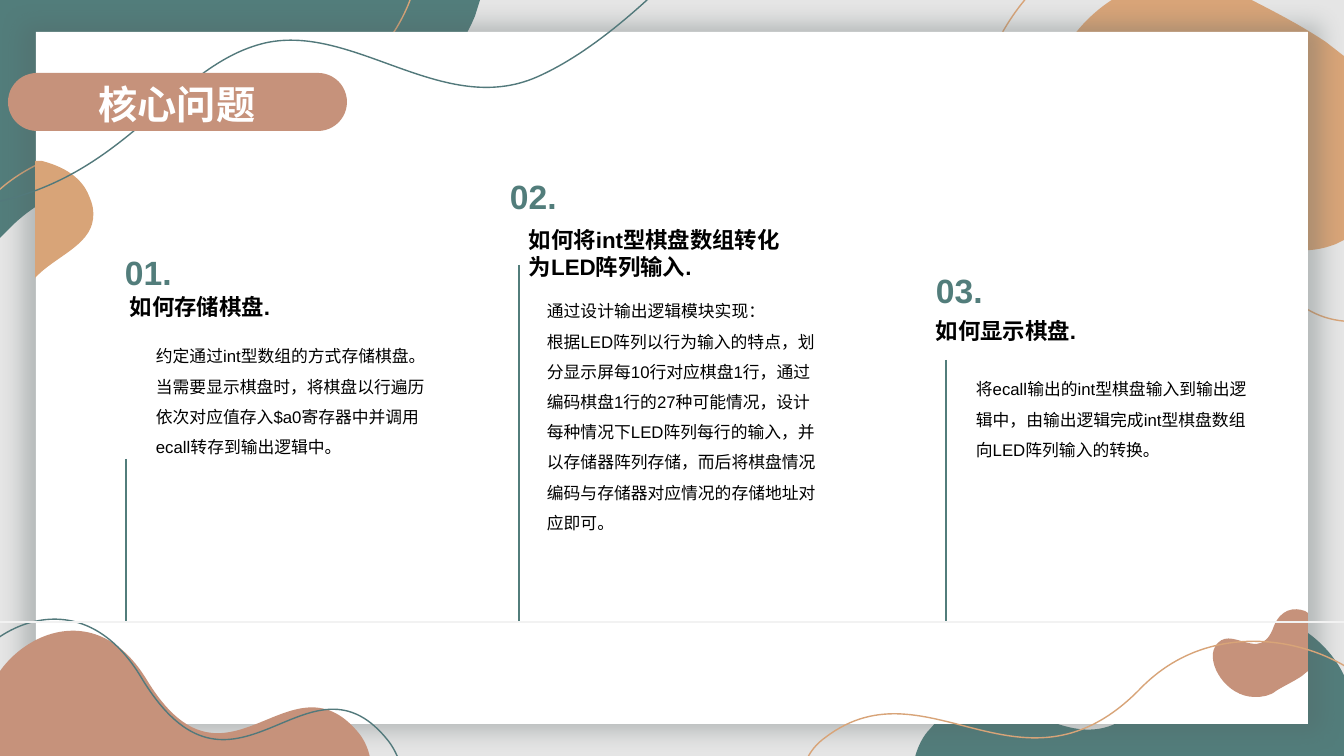
from math import cos, radians, sin

from lxml import etree
from pptx import Presentation
from pptx.dml.color import RGBColor
from pptx.enum.shapes import MSO_CONNECTOR as Connector, MSO_SHAPE as Shape
from pptx.enum.text import MSO_ANCHOR as Anchor, MSO_AUTO_SIZE as AutoSize, PP_ALIGN as Align
from pptx.oxml.ns import qn
from pptx.util import Pt

PX = 12192000 / 1344
WIDTH, HEIGHT = 1344, 756

TEAL = RGBColor(0x52, 0x7D, 0x7B)
TEAL_LINE = RGBColor(0x52, 0x79, 0x7B)
TAN = RGBColor(0xD8, 0xA4, 0x78)
CLAY = RGBColor(0xC6, 0x92, 0x7B)
GREY = RGBColor(0x80, 0x80, 0x80)
PALE = RGBColor(0xF2, 0xF2, 0xF2)
WHITE = RGBColor(0xFF, 0xFF, 0xFF)
BLACK = RGBColor(0, 0, 0)

TITLE = "核心问题"

# Each text: (left, top, width, height), paragraphs; rule: x, top
COLUMNS = [
    {"number": ((115, 247, 103, 50), ["01."]),
     "heading": ((120, 288, 303, 47), ["如何存储棋盘."]),
     "body": ((146, 331, 293, 270), [
         "约定通过int型数组的方式存储棋盘。当需要显示棋盘时，将棋盘以行遍历"
         "依次对应值存入$a0寄存器中并调用ecall转存到输出逻辑中。"]),
     "rule": (126, 459)},
    {"number": ((500, 171, 103, 50), ["02."]),
     "heading": ((519, 221, 289, 65), ["如何将int型棋盘数组转化为LED阵列输入."]),
     "body": ((537, 286, 293, 254), [
         "通过设计输出逻辑模块实现：",
         "根据LED阵列以行为输入的特点，划分显示屏每10行对应棋盘1行，"
         "通过编码棋盘1行的27种可能情况，设计每种情况下LED阵列每行的输入，"
         "并以存储器阵列存储，而后将棋盘情况编码与存储器对应情况的存储地址对应即可。"]),
     "rule": (519, 265)},
    {"number": ((926, 265, 103, 50), ["03."]),
     "heading": ((926, 312, 252, 37), ["如何显示棋盘."]),
     "body": ((966, 364, 293, 102), [
         "将ecall输出的int型棋盘输入到输出逻辑中，由输出逻辑完成int型棋盘"
         "数组向LED阵列输入的转换。"]),
     "rule": (946, 360)},
]
STYLES = {"heading": (16, BLACK, True, 1), "number": (24, TEAL, True, 1),
          "body": (12, BLACK, False, 1.5)}
BASELINE = 622

# Waves: fill, line, turn, closed, steps; two numbers are a line, six a Bezier curve
WAVES_BEHIND = [
    (TEAL, None, 90, True, [
        (1345, 757), (1351, 739, 1354, 720, 1351, 698), (1342, 634, 1234, 560, 1168, 670),
        (1079, 816, 1008, 636, 930, 729), (923, 736, 918, 746, 915, 757), (1345, 757)]),
    (TEAL, None, 0, True, [
        (0, 0), (480, 0), (475, 16), (444, 90, 368, 147, 227, 156),
        (120, 163, 54, 187, 15, 223), (0, 238)]),
    (TAN, None, 0, True, [
        (1178, -21), (1089, -19, 1026, 82, 1055, 131), (1102, 214, 1193, 69, 1240, 198),
        (1259, 251, 1300, 258, 1336, 244), (1344, 240), (1344, 56), (1326, 42),
        (1296, 22, 1265, 7, 1244, -4), (1222, -16, 1199, -21, 1178, -21)]),
    (None, TAN, 0, True, [
        (1170, -73), (1038, -71, 950, 77, 991, 149), (1060, 269, 1191, 57, 1259, 244),
        (1287, 323, 1347, 333, 1398, 312), (1410, 306), (1410, 39), (1384, 19),
        (1341, -10, 1295, -32, 1266, -48), (1232, -66, 1200, -74, 1170, -73)]),
    (None, TAN, 0, True, [
        (-15, -11), (414, -11), (409, 3), (382, 70, 313, 122, 187, 130),
        (92, 137, 33, 159, -2, 191), (-15, 205)]),
]
WAVES_FRONT = [
    (CLAY, None, 270, True, [
        (-8, 757), (-15, 741, -17, 724, -14, 705), (-7, 648, 89, 584, 147, 680),
        (226, 810, 289, 650, 358, 732), (364, 739, 368, 748, 370, 757), (-8, 757)]),
    (TAN, None, 127.7, True, [
        (93, 219), (90, 246, 54, 257, 35, 278), (35, 279), (35, 161), (42, 161),
        (65, 167, 82, 178, 89, 196), (93, 205, 94, 212, 93, 219)]),
    (None, TEAL_LINE, 270, True, [
        (-41, 767), (-48, 749, -51, 728, -48, 706), (-39, 640, 73, 564, 141, 677),
        (233, 830, 306, 642, 386, 738), (393, 746, 398, 756, 401, 767), (-41, 767)]),
    (None, TEAL_LINE, 0, False, [
        (-483, 234), (-299, 232, -115, 230, 9, 199), (134, 166, 177, 64, 265, 43),
        (354, 23, 443, 118, 537, 77), (632, 35, 734, -86, 835, -207)]),
    (CLAY, None, 0, True, [
        (1255, 697), (1226, 697, 1206, 663, 1215, 647), (1230, 621, 1260, 667, 1274, 626),
        (1281, 609, 1294, 607, 1305, 611), (1308, 613), (1308, 671), (1302, 676),
        (1293, 682, 1282, 687, 1276, 691), (1270, 696, 1262, 697, 1255, 697)]),
    (None, TAN, 90, True, [
        (1376, 761), (1385, 746, 1389, 730, 1385, 711), (1373, 658, 1230, 597, 1141, 688),
        (1023, 810, 928, 660, 826, 737), (816, 744, 810, 752, 806, 761), (1376, 761)]),
]


def emu(*lengths):
    return [round(length * PX) for length in lengths]


def paint(shape, fill, line=None):
    shape.shadow.inherit = False
    if fill is None:
        shape.fill.background()
    else:
        shape.fill.solid()
        shape.fill.fore_color.rgb = fill
    if line is None:
        shape.line.fill.background()
    else:
        shape.line.color.rgb = line
        shape.line.width = Pt(1)


def add_box(slide, kind, box, fill):
    shape = slide.shapes.add_shape(kind, *emu(*box))
    paint(shape, fill)
    return shape


def rotate(point, degrees):
    x, y = point
    c, s = cos(radians(degrees)), sin(radians(degrees))
    return x * c - y * s, x * s + y * c


def on_curve(corners, t):
    weights = ((1 - t) ** 3, 3 * t * (1 - t) ** 2, 3 * t * t * (1 - t), t ** 3)
    return tuple(sum(w * corner[axis] for w, corner in zip(weights, corners)) for axis in (0, 1))


def add_wave(slide, fill, line, turn, closed, steps):
    # Outline in the frame before turning, and its extent
    moves = [[rotate(step[i:i + 2], -turn) for i in range(0, len(step), 2)] for step in steps]
    extent = [move[-1] for move in moves]
    for before, move in zip(moves, moves[1:]):
        if len(move) == 3:
            extent += [on_curve([before[-1], *move], t / 20) for t in range(1, 20)]
    (left, right), (top, bottom) = [(min(values), max(values)) for values in zip(*extent)]
    width, height = emu(right - left, bottom - top)
    center_x, center_y = emu(*rotate(((left + right) / 2, (top + bottom) / 2), turn))

    builder = slide.shapes.build_freeform(*emu(*moves[0][0]))
    builder.add_line_segments([emu(*move[-1]) for move in moves[1:]], close=closed)
    shape = builder.convert_to_shape()
    shape.left, shape.top = center_x - width // 2, center_y - height // 2
    shape.width, shape.height, shape.rotation = width, height, turn

    # Bend the segments that are curves
    outline = shape._element.spPr.find(".//" + qn("a:path"))
    outline.set("w", str(width))
    outline.set("h", str(height))
    for segment, move in zip(list(outline), moves):
        if len(move) == 3:
            curve = etree.Element(qn("a:cubicBezTo"))
            outline.replace(segment, curve)
            segment = curve
        for point in list(segment):
            segment.remove(point)
        for x, y in move:
            px, py = emu(x - left, y - top)
            etree.SubElement(segment, qn("a:pt"), x=str(px), y=str(py))
    paint(shape, fill, line)


def add_line(slide, ends, color):
    line = slide.shapes.add_connector(Connector.STRAIGHT, *emu(*ends))
    line.line.color.rgb = color
    line.line.width = Pt(1.25)
    etree.SubElement(line._element.spPr, qn("a:effectLst"))


def style(paragraph, size, color, bold, spacing=1):
    font = paragraph.font
    font.name, font.size, font.bold = "Arial", Pt(size), bold
    font.color.rgb = color
    paragraph.line_spacing = spacing


def add_text(slide, box, lines, look):
    frame = slide.shapes.add_textbox(*emu(*box)).text_frame
    frame.word_wrap = True
    frame.text = "\n".join(lines)
    for paragraph in frame.paragraphs:
        style(paragraph, *look)


presentation = Presentation()
presentation.slide_width, presentation.slide_height = emu(WIDTH, HEIGHT)
slide = presentation.slides.add_slide(presentation.slide_layouts[5])

# Backdrop
backdrop = add_box(slide, Shape.RECTANGLE, (0, -1, WIDTH, HEIGHT + 2), GREY)
backdrop_color = backdrop._element.spPr.find(".//" + qn("a:srgbClr"))
etree.SubElement(backdrop_color, qn("a:alpha"), val="20000")
for wave in WAVES_BEHIND:
    add_wave(slide, *wave)

# White card with a soft shadow
card = add_box(slide, Shape.RECTANGLE, (36, 32, 1272, 692), WHITE)
effects = card._element.spPr.find(qn("a:effectLst"))
shadow = etree.SubElement(effects, qn("a:outerShdw"), blurRad=str(Pt(17)), sx="102000",
                          sy="102000", algn="ctr", rotWithShape="0")
shadow_color = etree.SubElement(shadow, qn("a:srgbClr"), val="566363")
etree.SubElement(shadow_color, qn("a:alpha"), val="35000")
for wave in WAVES_FRONT:
    add_wave(slide, *wave)

# Title on its pill
pill = add_box(slide, Shape.ROUNDED_RECTANGLE, (8, 73, 339, 58), CLAY)
pill.adjustments[0] = 0.5
title = slide.shapes.title
title.left, title.top, title.width, title.height = emu(37, 75, 280, 57)
title.text_frame.text = TITLE
title.text_frame.auto_size = AutoSize.NONE
title.text_frame.vertical_anchor = Anchor.MIDDLE
style(title.text_frame.paragraphs[0], 28, WHITE, True)
title.text_frame.paragraphs[0].alignment = Align.CENTER
slide.shapes._spTree.append(title._element)

# Three questions
for column in COLUMNS:
    x, top = column["rule"]
    add_line(slide, (x, top, x, BASELINE), TEAL)
    for part, look in STYLES.items():
        add_text(slide, *column[part], look)

# Baseline
add_line(slide, (WIDTH, BASELINE, 0, BASELINE), PALE)

presentation.save("out.pptx")
